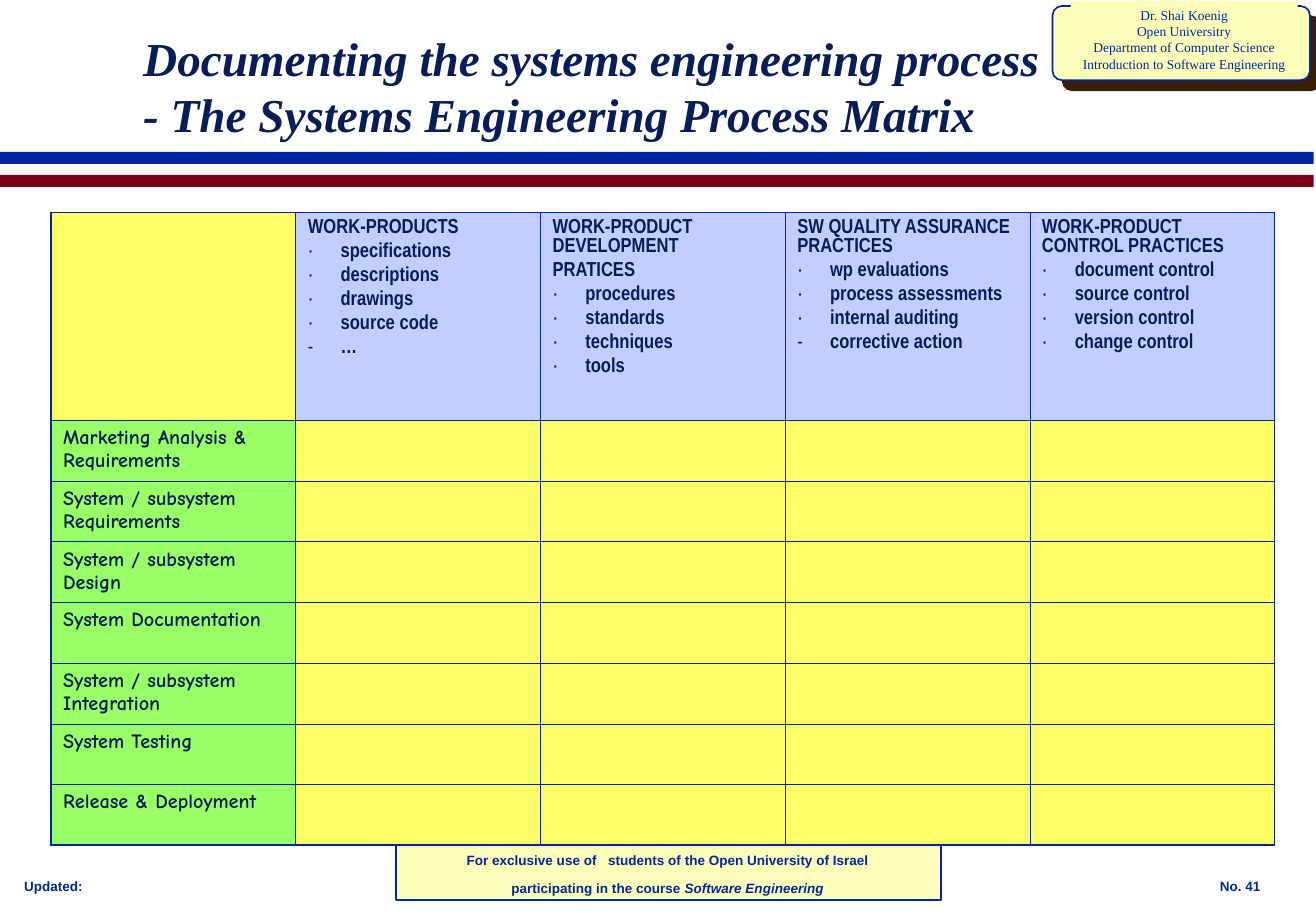
from lxml import etree
from pptx import Presentation
from pptx.dml.color import RGBColor
from pptx.enum.shapes import MSO_SHAPE
from pptx.enum.text import MSO_ANCHOR, MSO_AUTO_SIZE, PP_ALIGN
from pptx.oxml.ns import qn
from pptx.util import Inches, Pt

RECT, ROUNDED = MSO_SHAPE.RECTANGLE, MSO_SHAPE.ROUNDED_RECTANGLE
LEFT, CENTER = PP_ALIGN.LEFT, PP_ALIGN.CENTER
TOP, MIDDLE = MSO_ANCHOR.TOP, MSO_ANCHOR.MIDDLE
NO_AUTOFIT = MSO_AUTO_SIZE.NONE

BLUE = RGBColor(0x00, 0x27, 0x9F)
NAVY = RGBColor(0x08, 0x1D, 0x58)
MAROON = RGBColor(0x79, 0x00, 0x15)
BROWN = RGBColor(0x37, 0x20, 0x00)
CREAM = RGBColor(0xFC, 0xFE, 0xB9)
YELLOW = RGBColor(0xFF, 0xFF, 0x66)
LAVENDER = RGBColor(0xC1, 0xCE, 0xFF)
GREEN = RGBColor(0x99, 0xFF, 0x66)

TITLE = "Documenting the systems engineering process\v- The Systems Engineering Process Matrix"
COURSE_LINES = ["Dr. Shai Koenig", "Open Universitry", "Department of Computer Science",
                "Introduction to Software Engineering"]
# Each practice: heading paragraphs, then (bullet, item) pairs
PRACTICES = [
    (["WORK-PRODUCTS"],
     [("·", "specifications"), ("·", "descriptions"), ("·", "drawings"),
      ("·", "source code"), ("-", "…")]),
    (["WORK-PRODUCT DEVELOPMENT", "PRATICES"],
     [("·", "procedures"), ("·", "standards"), ("·", "techniques"), ("·", "tools")]),
    (["SW QUALITY ASSURANCE PRACTICES"],
     [("·", "wp evaluations"), ("·", "process assessments"),
      ("·", "internal auditing"), ("-", "corrective action")]),
    (["WORK-PRODUCT CONTROL PRACTICES"],
     [("·", "document control"), ("·", "source control"),
      ("·", "version control"), ("·", "change control")]),
]
PHASES = ["Marketing Analysis & Requirements", "System / subsystem Requirements",
          "System / subsystem Design", "System Documentation",
          "System / subsystem Integration", "System Testing", "Release & Deployment"]
TABLE_WIDTH, TABLE_HEIGHT, HEADER_HEIGHT = 10.08, 5.2, 1.71
THIN, THICK = 0.45, 1.08


def write(paragraph, text, size=8, font="Arial", color=BLUE, bold=False, italic=False,
          align=LEFT, before=0, bullet=None):
    """Append text to a paragraph, with an optional hanging bullet."""
    if bullet:
        properties = paragraph._p.get_or_add_pPr()
        properties.set("marL", str(Inches(0.27)))
        properties.set("indent", str(-Inches(0.27)))
        etree.SubElement(properties, qn("a:buFont"), typeface=font)
        etree.SubElement(properties, qn("a:buChar"), char=bullet)
    paragraph.alignment = align
    paragraph.space_before = Pt(before)
    run = paragraph.add_run()
    run.text = text
    run.font.size, run.font.name = Pt(size), font
    run.font.bold, run.font.italic = bold, italic
    run.font.color.rgb = color


def next_paragraph(frame):
    """Use the untouched first paragraph, or add one after it."""
    first = frame.paragraphs[0]
    return frame.add_paragraph() if first.runs else first


class MatrixSlide:
    def __init__(self, deck):
        self.slide = deck.slides.add_slide(deck.slide_layouts[5])
        self.shapes = self.slide.shapes

    def title(self, text, left, top, width, height):
        title = self.shapes.title
        title.left, title.top = Inches(left), Inches(top)
        title.width, title.height = Inches(width), Inches(height)
        frame = title.text_frame
        frame.auto_size, frame.vertical_anchor = NO_AUTOFIT, MIDDLE
        frame.word_wrap = True
        first, second = text.split("\v")
        look = dict(size=28, font="Times New Roman", color=NAVY, bold=True, italic=True)
        write(frame.paragraphs[0], first, **look)
        frame.paragraphs[0].add_line_break()
        write(frame.paragraphs[0], second, **look)

    def block(self, left, top, width, height, fill, kind=RECT, outlined=False):
        block = self.shapes.add_shape(kind, Inches(left), Inches(top),
                                      Inches(width), Inches(height))
        block.shadow.inherit = False
        block.fill.solid()
        block.fill.fore_color.rgb = fill
        if outlined:
            block.line.color.rgb = BLUE
            block.line.width = Pt(1)
        else:
            block.line.fill.background()
        return block

    def hard_shadow(self, block, color, distance):
        effects = block._element.spPr.find(qn("a:effectLst"))
        shadow = etree.SubElement(effects, qn("a:outerShdw"), blurRad="0",
                                  dist=str(Pt(distance)), dir=str(45 * 60000),
                                  algn="ctr", rotWithShape="0")
        etree.SubElement(shadow, qn("a:srgbClr"), val=str(color))

    def label(self, left, top, width, height):
        """Add an empty text box and return its text frame."""
        frame = self.shapes.add_textbox(Inches(left), Inches(top),
                                        Inches(width), Inches(height)).text_frame
        frame.word_wrap = True
        return frame

    def borders(self, cell, widths):
        """Draw the left, right, top and bottom edges of a cell, in that order."""
        properties = cell._tc.get_or_add_tcPr()
        for position, (edge, width) in enumerate(zip(("lnL", "lnR", "lnT", "lnB"), widths)):
            line = etree.Element(qn("a:" + edge), w=str(Pt(width)))
            fill = etree.SubElement(line, qn("a:solidFill"))
            etree.SubElement(fill, qn("a:srgbClr"), val=str(BLUE))
            properties.insert(position, line)

    def matrix(self, left, top):
        last_row, last_column = len(PHASES), len(PRACTICES)
        table = self.shapes.add_table(last_row + 1, last_column + 1, Inches(left), Inches(top),
                                      Inches(TABLE_WIDTH), Inches(TABLE_HEIGHT)).table
        table.first_row = table.horz_banding = False
        for column in table.columns:
            column.width = Inches(TABLE_WIDTH / (last_column + 1))
        for row in table.rows:
            row.height = Inches((TABLE_HEIGHT - HEADER_HEIGHT) / last_row)
        table.rows[0].height = Inches(HEADER_HEIGHT)

        for r in range(last_row + 1):
            for c in range(last_column + 1):
                cell = table.cell(r, c)
                fill = YELLOW
                if r == 0 and c > 0:
                    fill = LAVENDER
                    self.practice(cell.text_frame, *PRACTICES[c - 1])
                elif r > 0 and c == 0:
                    fill = GREEN
                    write(cell.text_frame.paragraphs[0], PHASES[r - 1], size=12,
                          font="Comic Neue", color=NAVY, bold=True)
                cell.vertical_anchor = TOP
                cell.fill.solid()
                cell.fill.fore_color.rgb = fill
                outer = (c == 0, c == last_column, r == 0, r == last_row)
                self.borders(cell, [THICK if edge else THIN for edge in outer])

    def practice(self, frame, headings, items):
        lines = [(None, heading) for heading in headings] + items
        for i, (bullet, text) in enumerate(lines):
            write(next_paragraph(frame), text, size=12, font="Arial Narrow", color=NAVY,
                  bold=True, before=3 if i else 0, bullet=bullet)


def main():
    deck = Presentation()
    deck.slide_width, deck.slide_height = Inches(10.84), Inches(7.5)
    page = MatrixSlide(deck)

    page.block(3.26, 6.92, 4.49, 0.49, CREAM, outlined=True)
    for top, color in ((1.25, BLUE), (1.44, MAROON)):
        page.block(0, top, 10.82, 0.1, color)

    plaque = page.block(8.67, 0.05, 2.12, 0.61, CREAM, kind=ROUNDED, outlined=True)
    plaque.adjustments[0] = 0.125
    page.hard_shadow(plaque, BROWN, 8.5)
    course = page.block(8.82, 0.01, 1.87, 0.63, CREAM).text_frame
    course.word_wrap, course.vertical_anchor = False, TOP
    for line in COURSE_LINES:
        write(next_paragraph(course), line, font="Times New Roman", align=CENTER)

    for left, width, text in ((0.1, 1.15, "Updated:"), (9.95, 0.85, "No. 41")):
        write(page.label(left, 7.18, width, 0.23).paragraphs[0], text, bold=True)

    usage = page.label(3.25, 6.74, 4.5, 0.68)
    audience = next_paragraph(usage)
    for text, size in (("For exclusive use of", 8), (" ", 24),
                       ("students of the Open University of Israel", 8)):
        write(audience, text, size=size, bold=True, align=CENTER)
    enrolment = next_paragraph(usage)
    for text, italic in (("participating in the course ", False),
                         ("Software Engineering", True)):
        write(enrolment, text, bold=True, italic=italic, align=CENTER, before=4)

    page.title(TITLE, 1.08, 0.33, 8.5, 0.75)
    page.matrix(0.42, 1.75)
    deck.save("out.pptx")


if __name__ == "__main__":
    main()
